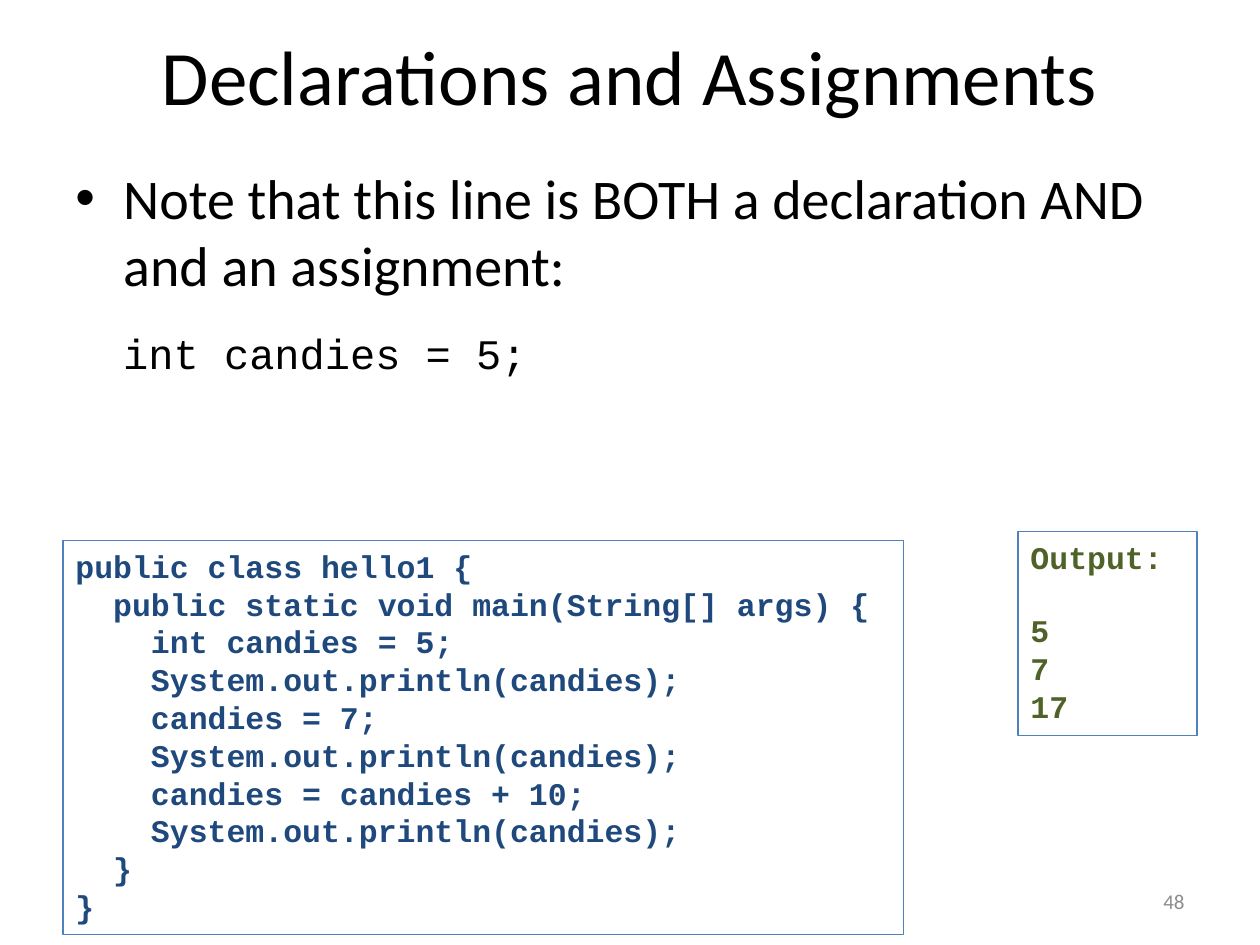
from dataclasses import dataclass

from lxml import etree
from pptx import Presentation
from pptx.dml.color import RGBColor
from pptx.enum.shapes import MSO_SHAPE
from pptx.enum.text import MSO_ANCHOR, PP_ALIGN
from pptx.oxml.ns import qn
from pptx.util import Inches, Pt

RECT = MSO_SHAPE.RECTANGLE
TOP, MIDDLE = MSO_ANCHOR.TOP, MSO_ANCHOR.MIDDLE
LEFT, CENTER, RIGHT = PP_ALIGN.LEFT, PP_ALIGN.CENTER, PP_ALIGN.RIGHT
WIDTH, HEIGHT = Inches(10), Inches(7.5)
MARGIN = 0.5
COLORS = {
    "text": "000000",
    "number": "8C8C8C",
    "border": "4F81BD",
    "code": "1F497D",
    "output": "4F6228",
}

CODE = """public class hello1 {
  public static void main(String[] args) {
    int candies = 5;
    System.out.println(candies);
    candies = 7;
    System.out.println(candies);
    candies = candies + 10;
    System.out.println(candies);
  }
}"""


@dataclass
class Box:
    left: float
    top: float
    width: float
    height: float

    def emu(self) -> tuple:
        return (int(WIDTH * self.left / 10), int(HEIGHT * self.top / 7.5),
                int(WIDTH * self.width / 10), int(HEIGHT * self.height / 7.5))


@dataclass
class Panel:
    box: Box
    text: str
    color: str
    heading_gap: float = 0


PANELS = [
    Panel(Box(MARGIN, 4.29, 6.67, 3.13), CODE, "code"),
    Panel(Box(8.08, 4.22, 1.42, 1.62), "Output:\n5\n7\n17", "output", 20.4),
]


def rgb(name: str) -> RGBColor:
    return RGBColor.from_string(COLORS[name])


def style(p, size: float, color: str, font: str = "Calibri",
          bold: bool = False, align=LEFT) -> None:
    p.alignment = align
    for r in p.runs:
        r.font.name = font
        r.font.size = Pt(size)
        r.font.bold = bold
        r.font.color.rgb = rgb(color)


def add_panel(s, panel: Panel) -> None:
    sp = s.shapes.add_shape(RECT, *panel.box.emu())
    sp.shadow.inherit = False
    sp.fill.background()
    sp.line.color.rgb = rgb("border")
    sp.line.width = Pt(0.75)
    tf = sp.text_frame
    tf.word_wrap = True
    tf.vertical_anchor = TOP
    tf.text = panel.text
    for p in tf.paragraphs:
        style(p, 18, panel.color, "Courier New", True)
    if panel.heading_gap:
        tf.paragraphs[1].space_before = Pt(panel.heading_gap)


def add_text(s, box: Box, text: str, anchor):
    tf = s.shapes.add_textbox(*box.emu()).text_frame
    tf.word_wrap = True
    tf.vertical_anchor = anchor
    tf.text = text
    return tf


def indent(p, hanging: bool) -> None:
    pPr = p._p.get_or_add_pPr()
    pPr.set("marL", str(Inches(0.38)))
    pPr.set("indent", str(-Inches(0.38) if hanging else 0))
    if hanging:
        font = etree.SubElement(pPr, qn("a:buFont"))
        font.set("typeface", "Arial")
        etree.SubElement(pPr, qn("a:buChar")).set("char", "•")


def main() -> None:
    prs = Presentation()
    prs.slide_width, prs.slide_height = WIDTH, HEIGHT
    s = prs.slides.add_slide(prs.slide_layouts[5])

    title = s.shapes.title
    title.left, title.top, title.width, title.height = Box(MARGIN, 0.1, 9, 0.98).emu()
    title.text_frame.text = "Declarations and Assignments"
    title.text_frame.vertical_anchor = MIDDLE
    style(title.text_frame.paragraphs[0], 44, "text", align=CENTER)

    tf = add_text(s, Box(MARGIN, 1.25, 9, 4.95),
                  "Note that this line is BOTH a declaration AND and an assignment:\n"
                  "int candies = 5;", TOP)
    note, statement = tf.paragraphs
    indent(note, True)
    style(note, 32, "text")
    indent(statement, False)
    statement.space_before = Pt(17)
    style(statement, 24, "text", "Courier New")

    for panel in PANELS:
        add_panel(s, panel)

    tf = add_text(s, Box(7.17, 6.95, 2.33, 0.4), "48", MIDDLE)
    style(tf.paragraphs[0], 12, "number", align=RIGHT)

    prs.save("out.pptx")


if __name__ == "__main__":
    main()
